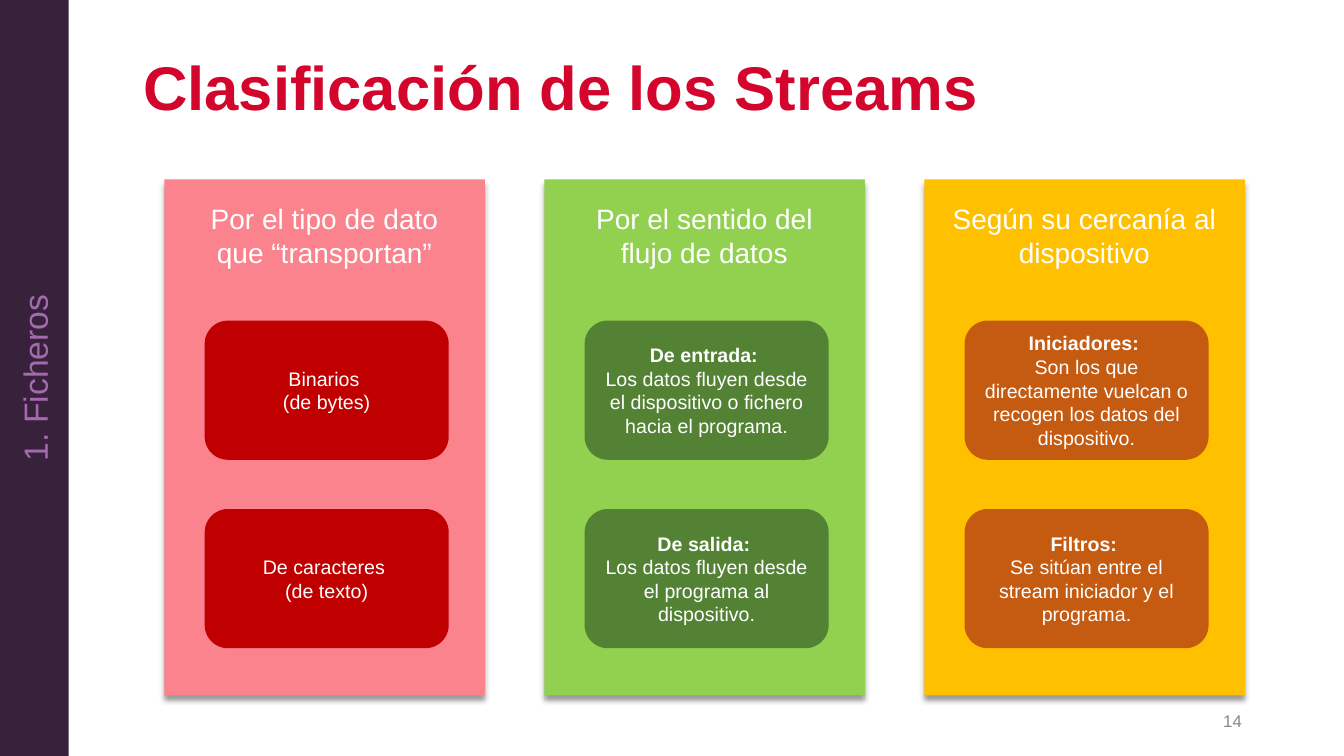
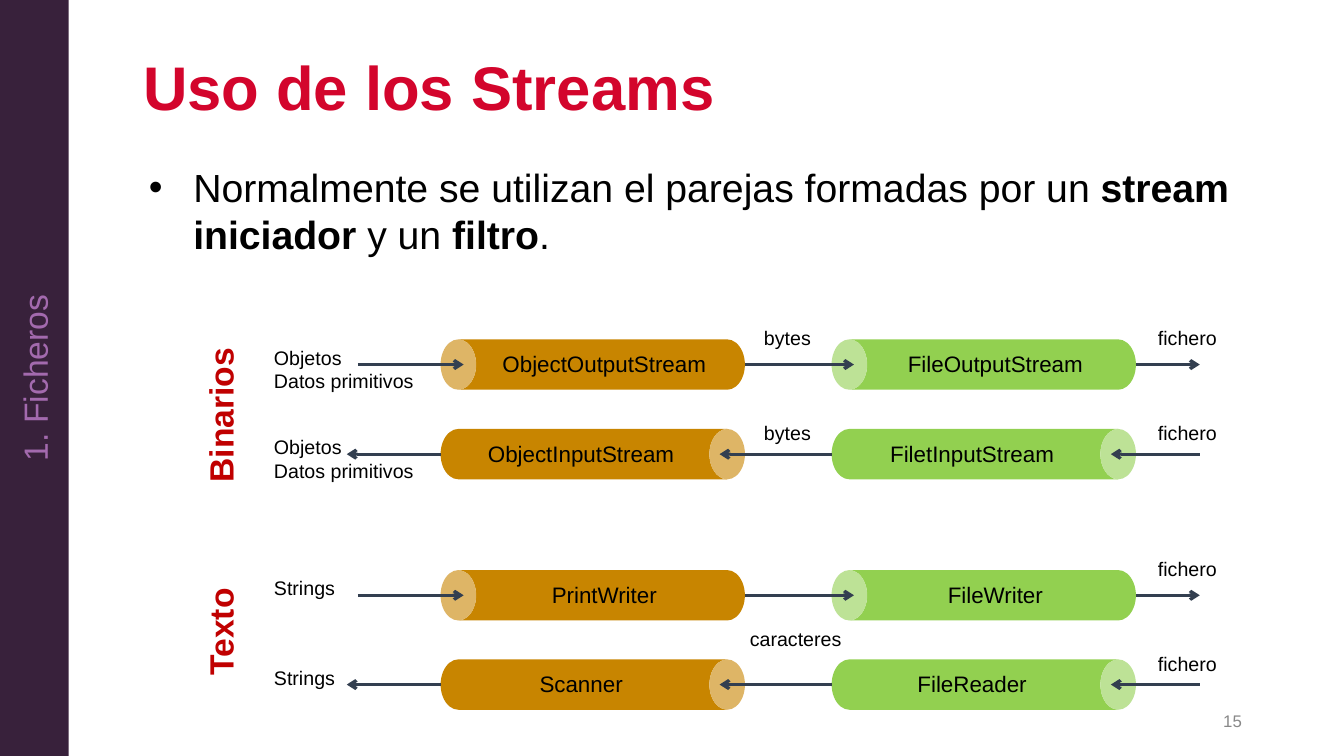
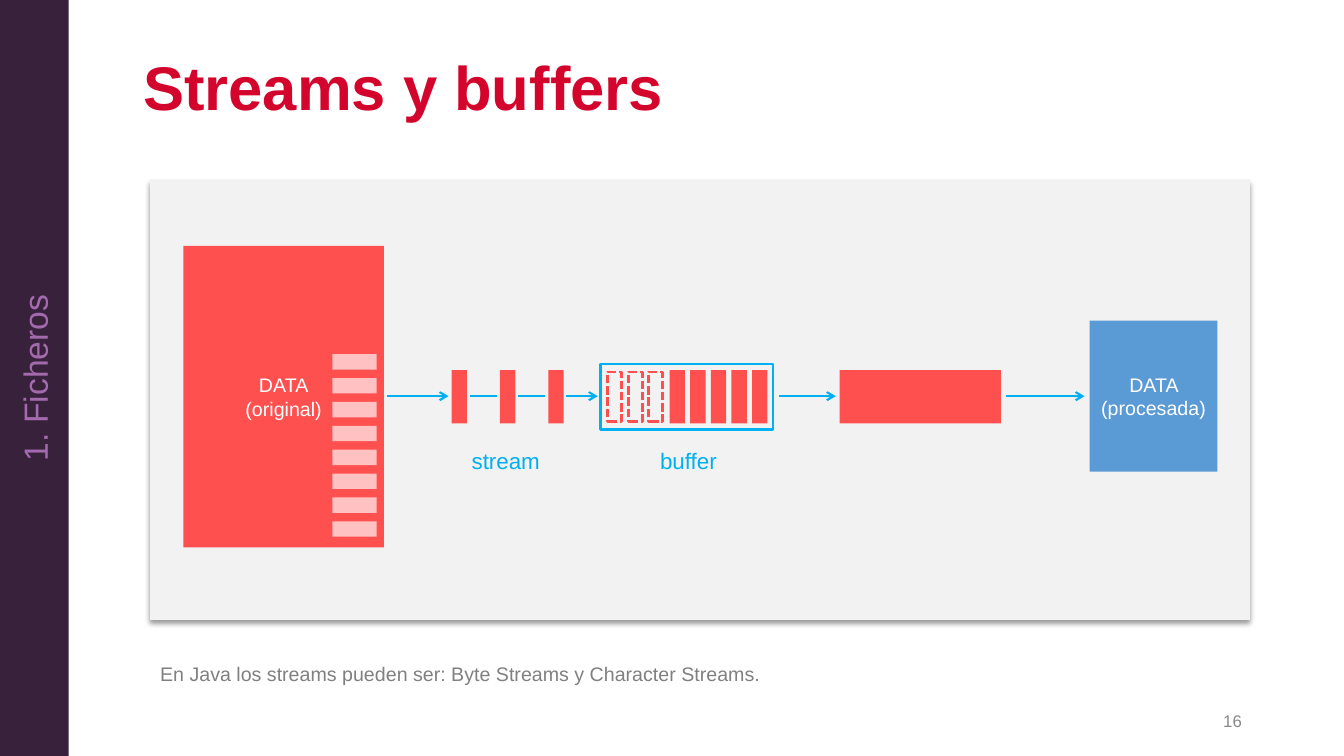
import lxml.etree
import pptx
import pptx.dml.color
import pptx.enum.dml
import pptx.enum.shapes
import pptx.enum.text
import pptx.oxml.ns
import pptx.util

Pt = pptx.util.Pt
qn = pptx.oxml.ns.qn
Kind = pptx.enum.shapes.MSO_SHAPE
Align = pptx.enum.text.PP_ALIGN
Mid = pptx.enum.text.MSO_ANCHOR.MIDDLE
Top = pptx.enum.text.MSO_ANCHOR.TOP

FONT = "Arial"
WHITE, BLACK, GREY = "FFFFFF", "000000", "808080"
PLUM, LILAC, TITLE = "38213B", "A36AAE", "D3052C"
RED, GREEN, GOLD = "C00000", "92D050", "C88500"
CORAL, PINK, SKY, SLATE = "FF5050", "FFC1C1", "00B0F0", "333F50"


def rgb(code):
    """Turn a hex string into a colour."""
    return pptx.dml.color.RGBColor.from_string(code)


def node(parent, tag, **attrs):
    """Append a drawing element to a parent."""
    return lxml.etree.SubElement(parent, qn(tag), attrs)


def style(font, size, color, bold=False):
    """Set face, size, colour and weight of a font."""
    font.name, font.size, font.bold = FONT, Pt(size), bold
    font.color.rgb = rgb(color)


def write(shape, text, size, color, align=Align.CENTER, anchor=Mid, bold=False, head=False):
    """Fill a shape with text, with a bold first paragraph if head is set."""
    frame = shape.text_frame
    frame.text = text
    frame.word_wrap = True
    frame.vertical_anchor = anchor
    for i, para in enumerate(frame.paragraphs):
        para.alignment = align
        for run in para.runs:
            style(run.font, size, color, bold or (head and i == 0))


def label(slide, box, text, size, color, **look):
    """Add a text box."""
    shape = slide.shapes.add_textbox(*map(Pt, box))
    write(shape, text, size, color, **look)
    return shape


def block(slide, box, fill=None, kind=Kind.RECTANGLE):
    """Add a flat shape without outline."""
    shape = slide.shapes.add_shape(kind, *map(Pt, box))
    shape.shadow.inherit = False
    shape.line.fill.background()
    if fill:
        shape.fill.solid()
        shape.fill.fore_color.rgb = rgb(fill)
    else:
        shape.fill.background()
    return shape


def frame(slide, box, color, dash=None):
    """Add a hollow rectangle with an outline."""
    shape = block(slide, box)
    shape.line.color.rgb = rgb(color)
    shape.line.width = Pt(2)
    if dash:
        shape.line.dash_style = dash


def panel(slide, box, fill):
    """Add a rectangle with a soft shadow below."""
    shape = block(slide, box, fill)
    effect = shape.element.spPr.find(qn("a:effectLst"))
    shade = node(effect, "a:outerShdw", blurRad=str(Pt(4)), dist=str(Pt(3)),
                 dir="5400000", algn="t", rotWithShape="0")
    node(node(shade, "a:srgbClr", val=BLACK), "a:alpha", val="40000")


def link(slide, start, end, y, color, width, arrow=True):
    """Add a level line, with an arrowhead at its end if wanted."""
    line = slide.shapes.add_connector(
        pptx.enum.shapes.MSO_CONNECTOR.STRAIGHT, Pt(start), Pt(y), Pt(end), Pt(y))
    line.line.color.rgb = rgb(color)
    line.line.width = Pt(width)
    if arrow:
        node(line.line._get_or_add_ln(), "a:tailEnd", type="arrow")
    node(line._element.spPr, "a:effectLst")


def page(deck, title, number):
    """Add a slide with title, side band and page number."""
    slide = deck.slides.add_slide(deck.slide_layouts[5])
    head = slide.shapes.title
    head.left, head.top, head.width, head.height = map(Pt, (95, 33.8, 799.2, 62))
    write(head, title, 44, TITLE, align=Align.LEFT, bold=True)
    head.text_frame.auto_size = pptx.enum.text.MSO_AUTO_SIZE.NONE
    head.text_frame.paragraphs[0].line_spacing = 0.9
    band = block(slide, (0, 0, 49, 540), PLUM)
    write(band, "1. Ficheros", 24, LILAC)
    band.text_frame._txBody.bodyPr.set("vert", "vert270")
    label(slide, (678.2, 500.4, 216, 28.8), str(number), 12, "888888", align=Align.RIGHT)
    return slide


def column(slide, x, text, back, fill, cards):
    """Add a column with a heading and its cards."""
    panel(slide, (x, 128.2, 229, 368.6), back)
    label(slide, (x + 10.4, 140.4, 208, 55.4), text, 20, WHITE, anchor=Top)
    for i, card in enumerate(cards):
        shape = block(slide, (x + 28.8, 229 + 134.6 * i, 174.3, 99.4), fill,
                      Kind.ROUNDED_RECTANGLE)
        write(shape, card, 14, WHITE, head=":" in card)


def bullet(slide, box, parts):
    """Add one bullet whose odd parts are bold."""
    shape = slide.shapes.add_textbox(*map(Pt, box))
    shape.text_frame.word_wrap = True
    para = shape.text_frame.paragraphs[0]
    props = para._p.get_or_add_pPr()
    props.set("marL", str(Pt(36)))
    props.set("indent", str(Pt(-31.7)))
    node(node(props, "a:buClr"), "a:srgbClr", val=BLACK)
    node(props, "a:buFont", typeface=FONT)
    node(props, "a:buChar", char="•")
    for i, part in enumerate(parts):
        run = para.add_run()
        run.text = part
        style(run.font, 28, BLACK, i % 2 == 1)


def tube(slide, x, y, fill, name, out):
    """Add a lying cylinder with its name; the lid is where data enters."""
    long, thick = 217.4, 36
    can = block(slide, (x - thick / 2, y - long / 2, thick, long), fill, Kind.CAN)
    can.adjustments[0] = 0.706
    can.rotation = 270 if out else 90
    shift = 8.3 if out else -8.3
    label(slide, (x + shift - 90, y - 14, 180, 27), name, 16, BLACK)


def flow(slide, y, out, data, names, mid):
    """Add a row of two tubes with arrows and labels."""
    for x, fill, name in zip((423.4, 702.7), (GOLD, GREEN), names):
        tube(slide, x, y, fill, name, out)
    if out:
        spans = (255.6, 331.2), (532, 610), (811.4, 857)
    else:
        spans = (314.7, 247.7), (594, 514), (857, 793.5)
    for start, end in spans:
        link(slide, start, end, y, SLATE, 2.25)
    rise = 31 if out else 27
    notes = [(188.6, 17, 120, data), (820, rise, 70, "fichero")]
    if mid == "bytes":
        notes.append((538.6, rise, 60, mid))
    elif mid:
        notes.append((528.5, 45, 90, mid))
    for x, lift, width, text in notes:
        label(slide, (x, y - lift, width, 24.5), text, 14, BLACK,
              align=Align.LEFT, anchor=Top)


def kinds(deck):
    """Build the slide on kinds of streams."""
    slide = page(deck, "Clasificación de los Streams", 14)
    groups = [
        ("Por el tipo de dato que “transportan”", "FB838D", RED,
         ("Binarios \n(de bytes)", "De caracteres \n(de texto)")),
        ("Por el sentido del flujo de datos", GREEN, "548235",
         ("De entrada: \nLos datos fluyen desde el dispositivo o fichero hacia el programa.",
          "De salida: \nLos datos fluyen desde el programa al dispositivo.")),
        ("Según su cercanía al dispositivo", "FFC000", "C55A11",
         ("Iniciadores: \nSon los que directamente vuelcan o recogen los datos del dispositivo.",
          "Filtros: \nSe sitúan entre el stream iniciador y el programa.")),
    ]
    for i, group in enumerate(groups):
        column(slide, 117.4 + 271.4 * i, *group)


def usage(deck):
    """Build the slide on pairs of streams."""
    slide = page(deck, "Uso de los Streams", 15)
    bullet(slide, (95, 113, 799.2, 80),
           ("Normalmente se utilizan el parejas formadas por un ", "stream iniciador",
            " y un ", "filtro", "."))
    for text, y in (("Binarios", 296.6), ("Texto", 451.4)):
        side = label(slide, (97.2, y - 18, 120, 36), text, 24, RED, bold=True)
        side.rotation = 270
    pair = "Objetos\nDatos primitivos"
    rows = [
        (260.4, True, pair, ("ObjectOutputStream", "FileOutputStream"), "bytes"),
        (324.4, False, pair, ("ObjectInputStream", "FiletInputStream"), "bytes"),
        (425.2, True, "Strings", ("PrintWriter", "FileWriter"), None),
        (489, False, "Strings", ("Scanner", "FileReader"), "caracteres"),
    ]
    for row in rows:
        flow(slide, *row)


def buffers(deck):
    """Build the slide on streams and buffers."""
    slide = page(deck, "Streams y buffers", 16)
    panel(slide, (107.3, 128.2, 785.5, 314.6), "F2F2F2")
    source = block(slide, (131, 175.7, 143.3, 215.3), CORAL)
    write(source, "DATA\v(original)", 14, WHITE)
    for i in range(8):
        block(slide, (237.4, 253 + 17.06 * i, 31.7, 11), PINK)
    for i in range(3):
        block(slide, (322.6 + 34.55 * i, 264.4, 11, 38), CORAL)
    frame(slide, (429.1, 260, 123.1, 46.8), SKY)
    for i in range(8):
        x = 434 + 14.75 * i
        if i < 3:
            frame(slide, (x, 265.7, 10, 35.3), CORAL, pptx.enum.dml.MSO_LINE.SQUARE_DOT)
        else:
            block(slide, (x, 264.4, 11, 38), CORAL)
    block(slide, (599.8, 264.4, 115.2, 38), CORAL)
    target = block(slide, (778.3, 229, 91.4, 108), "5B9BD5")
    write(target, "DATA (procesada)", 14, WHITE)
    spans = [(276.5, 320.4, True), (335.5, 355, False), (370, 389.5, False),
             (404.6, 427, True), (556.6, 597, True), (718.6, 774.7, True)]
    for start, end, arrow in spans:
        link(slide, start, end, 283, SKY, 1.5, arrow)
    for x, text in ((329.8, "stream"), (464.4, "buffer")):
        label(slide, (x, 316, 80, 26.6), text, 16, SKY, align=Align.LEFT, anchor=Top)
    label(slide, (107.3, 469.4, 785.5, 24.5),
          "En Java los streams pueden ser: Byte Streams y Character Streams.",
          14, GREY, align=Align.LEFT, anchor=Top)


def main():
    """Build and save the deck."""
    deck = pptx.Presentation()
    deck.slide_width, deck.slide_height = Pt(960), Pt(540)
    kinds(deck)
    usage(deck)
    buffers(deck)
    deck.save("out.pptx")


if __name__ == "__main__":
    main()
